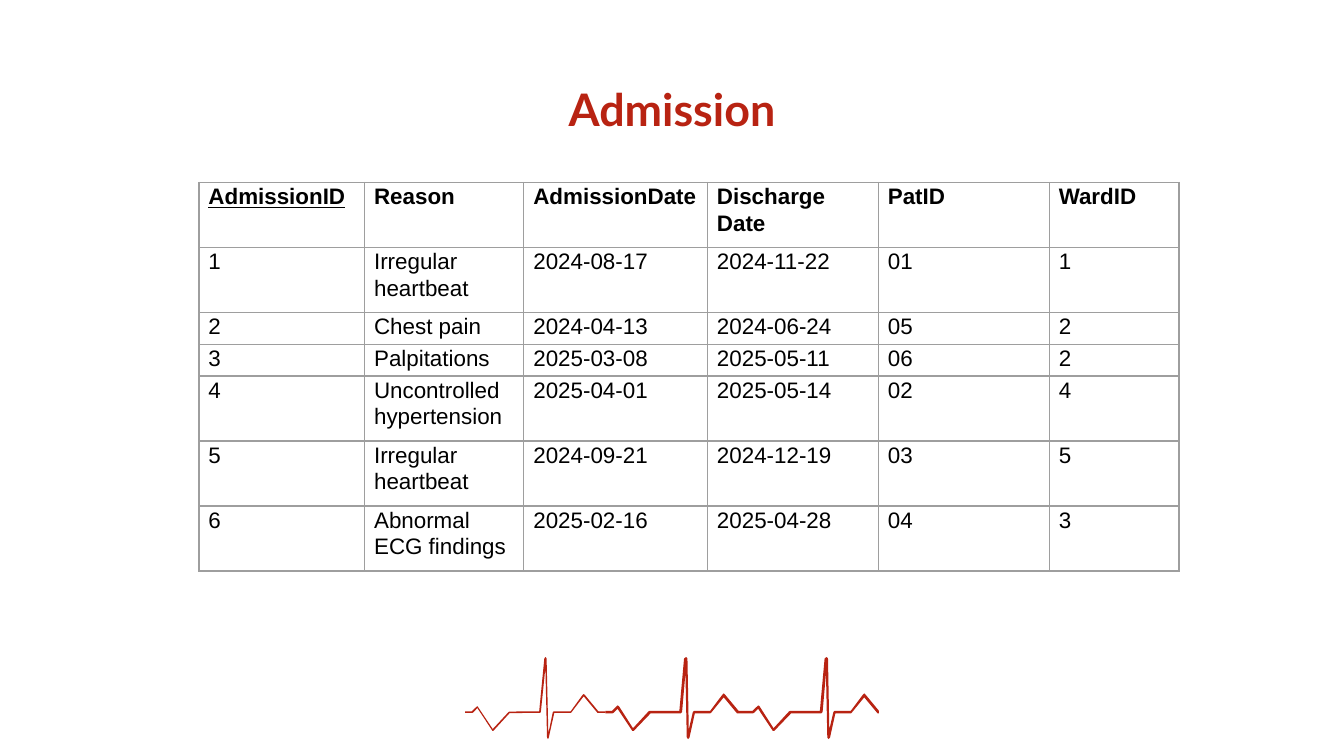
import pptx
import pptx.dml.color
import pptx.enum.text
import pptx.oxml
import pptx.oxml.ns
import pptx.util

Cm = pptx.util.Cm
Pt = pptx.util.Pt
RED = pptx.dml.color.RGBColor(0xB8, 0x23, 0x12)
BLACK = pptx.dml.color.RGBColor(0, 0, 0)
GREY = pptx.dml.color.RGBColor(0x9E, 0x9E, 0x9E)

TITLE_FONT = {"name": "Lato", "size": Pt(24), "bold": True}
CELL_FONT = {"name": "Arial", "size": Pt(12)}
CELL_FORMAT = {
    "margin_left": Cm(0.18),
    "margin_right": Cm(0.18),
    "margin_top": 0,
    "margin_bottom": 0,
}
COLUMNS = [3.13, 3.01, 3.47, 3.23, 3.23, 2.45]
ROWS = [1.23, 1.23, 0.6, 0.6, 1.23, 1.23, 1.23]
ADMISSIONS = [
    ["AdmissionID", "Reason", "AdmissionDate", "Discharge Date", "PatID", "WardID"],
    ["1", "Irregular heartbeat", "2024-08-17", "2024-11-22", "01", "1"],
    ["2", "Chest pain", "2024-04-13", "2024-06-24", "05", "2"],
    ["3", "Palpitations", "2025-03-08", "2025-05-11", "06", "2"],
    ["4", "Uncontrolled hypertension", "2025-04-01", "2025-05-14", "02", "4"],
    ["5", "Irregular heartbeat", "2024-09-21", "2024-12-19", "03", "5"],
    ["6", "Abnormal ECG findings", "2025-02-16", "2025-04-28", "04", "3"],
]

BEAT_UNIT = Cm(0.0254)
BEAT_STEP = 104.5
THICK_BEAT = [
    (0, 40), (5, 40), (9, 36), (10, 36.5), (20.5, 53), (32, 40.5), (33, 40),
    (55, 40), (58.5, 1), (60, 0), (61, 1), (62, 54), (65, 41), (66, 40),
    (78, 40), (87, 28), (88, 27), (89, 28), (99, 40), (104.5, 40),
    (104.5, 42), (98, 42), (88, 30), (79, 41), (78, 42), (66.5, 42),
    (62.5, 60), (61.5, 61), (60.5, 60), (59.5, 12), (57, 41), (56, 42),
    (33.5, 42), (21, 55), (20, 55), (9, 38.5), (6, 41.5), (5, 42), (0, 42),
]
THIN_BEAT = [
    (0, 40.4), (5, 40.4), (9, 36.6), (9.6, 37), (20.6, 53.6), (32.3, 41),
    (33, 40.6), (55.2, 40.4), (59, 1), (60, 0), (60.7, 1), (62, 57),
    (65.3, 41), (66, 40.4), (78.6, 40.4), (87.6, 28), (88.3, 27.6),
    (89, 28), (99.2, 40.4), (104.5, 40.4), (104.5, 41.6), (98.6, 41.6),
    (88.3, 29.2), (79.3, 41), (78.8, 41.6), (66.4, 41.6), (62.3, 60),
    (61.7, 61), (61, 60), (59.8, 8), (56.4, 41), (55.8, 41.6),
    (33.2, 41.7), (21, 55), (20.4, 55), (9.2, 38), (6, 41.3), (5.4, 41.6),
    (0, 41.6),
]


def apply(obj, values):
    for name, value in values.items():
        setattr(obj, name, value)


def add_title(s, text, left, top, width, height):
    sp = s.shapes.title
    apply(sp, {"left": left, "top": top, "width": width, "height": height})
    tf = sp.text_frame
    margins = {f"margin_{side}": Cm(0.25) for side in ("left", "right", "top", "bottom")}
    apply(tf, margins)
    tf.word_wrap = True
    tf.auto_size = pptx.enum.text.MSO_AUTO_SIZE.NONE
    tf.vertical_anchor = pptx.enum.text.MSO_ANCHOR.MIDDLE
    p = tf.paragraphs[0]
    p.alignment = pptx.enum.text.PP_ALIGN.CENTER
    r = p.add_run()
    r.text = text
    apply(r.font, TITLE_FONT)
    r.font.color.rgb = RED


def add_borders(cell):
    tc_pr = cell._tc.get_or_add_tcPr()
    ns = pptx.oxml.ns.nsdecls("a")
    for i, side in enumerate(("lnL", "lnR", "lnT", "lnB")):
        line = pptx.oxml.parse_xml(
            f'<a:{side} {ns} w="{Pt(0.75)}"><a:solidFill>'
            f'<a:srgbClr val="{GREY}"/></a:solidFill></a:{side}>'
        )
        tc_pr.insert(i, line)


def add_admissions(s, left, top, width, height):
    sp = s.shapes.add_table(len(ROWS), len(COLUMNS), left, top, width, height)
    table = sp.table
    table.first_row = False
    table.horz_banding = False
    for column, share in zip(table.columns, COLUMNS):
        column.width = int(width * share / sum(COLUMNS))
    for row, share in zip(table.rows, ROWS):
        row.height = int(height * share / sum(ROWS))
    for i, values in enumerate(ADMISSIONS):
        for j, value in enumerate(values):
            cell = table.cell(i, j)
            apply(cell, CELL_FORMAT)
            cell.fill.background()
            add_borders(cell)
            p = cell.text_frame.paragraphs[0]
            p.line_spacing = 1.07
            r = p.add_run()
            r.text = value
            apply(r.font, CELL_FONT)
            r.font.bold = i == 0
            r.font.underline = i == j == 0
            r.font.color.rgb = BLACK


def add_heartbeat(s, left, top, width):
    group = s.shapes.add_group_shape()
    for i, outline in enumerate((THIN_BEAT, THICK_BEAT, THICK_BEAT)):
        start = i * BEAT_STEP * BEAT_UNIT
        points = [(min(x * BEAT_UNIT, width - start), y * BEAT_UNIT) for x, y in outline]
        builder = group.shapes.build_freeform(*points[0])
        builder.add_line_segments(points[1:], close=True)
        sp = builder.convert_to_shape(int(left + start), top)
        sp.shadow.inherit = False
        sp.fill.solid()
        sp.fill.fore_color.rgb = RED
        sp.line.fill.background()


def main():
    prs = pptx.Presentation()
    prs.slide_width = Cm(25.4)
    prs.slide_height = Cm(14.29)
    s = prs.slides.add_slide(prs.slide_layouts[5])
    add_heartbeat(s, Cm(8.79), Cm(12.42), Cm(7.82))
    add_title(s, "Admission", Cm(2), Cm(1.25), Cm(21.4), Cm(1.6))
    add_admissions(s, Cm(3.76), Cm(3.45), Cm(sum(COLUMNS)), Cm(sum(ROWS)))
    prs.save("out.pptx")


if __name__ == "__main__":
    main()
